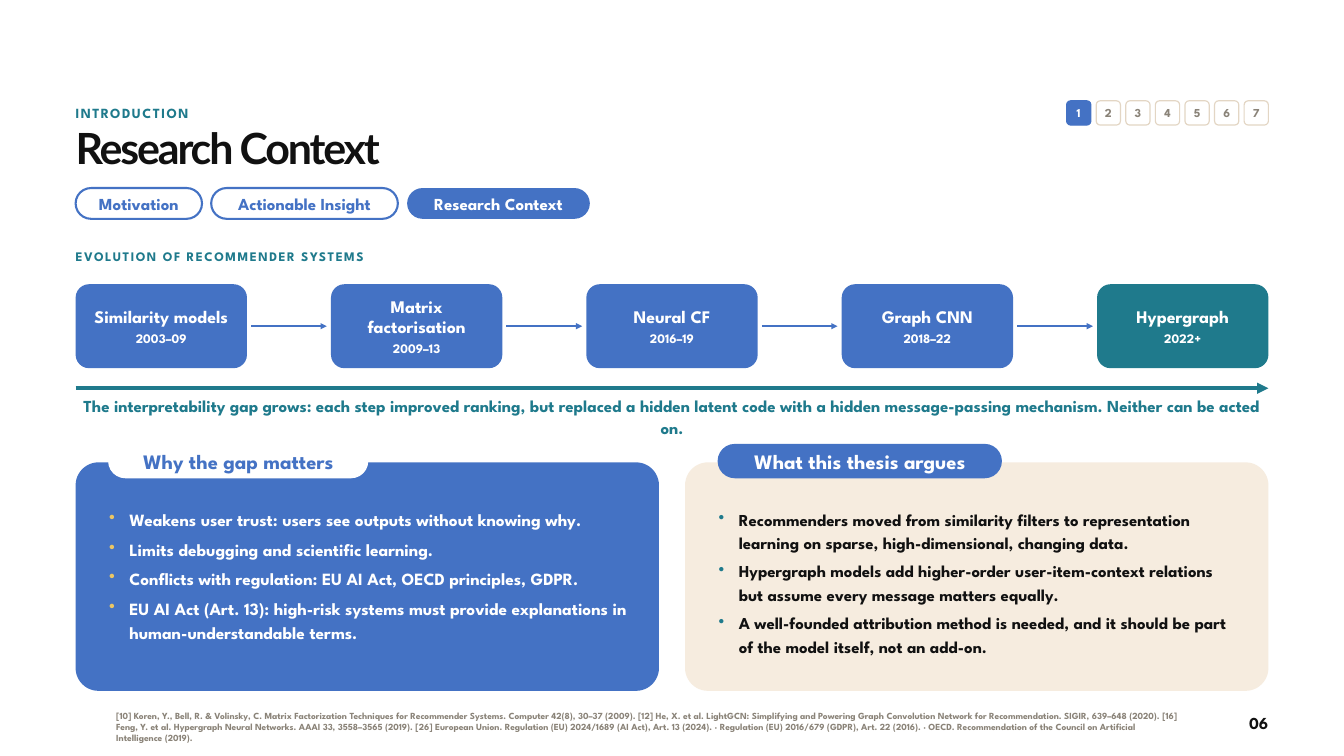
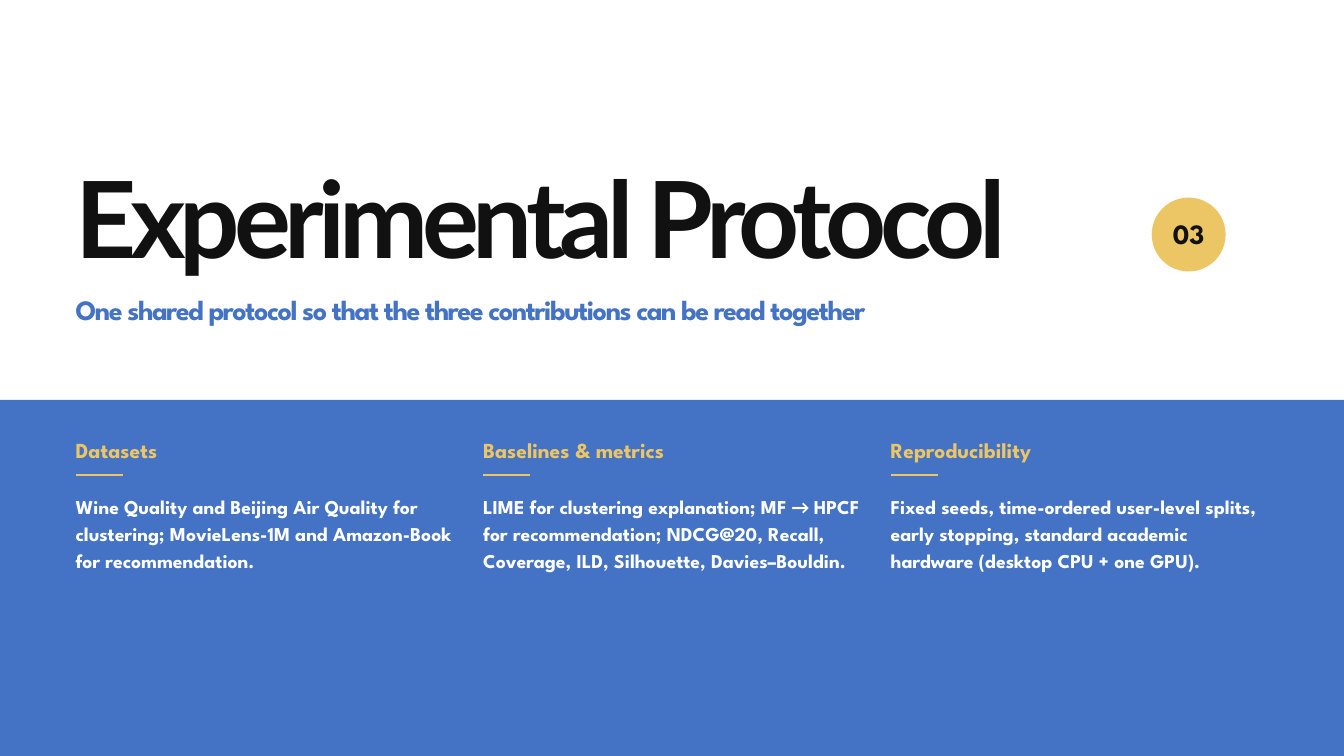
from dataclasses import dataclass

from lxml import etree
from pptx import Presentation
from pptx.dml.color import RGBColor
from pptx.enum.shapes import MSO_CONNECTOR, MSO_SHAPE
from pptx.enum.text import MSO_ANCHOR, PP_ALIGN
from pptx.oxml.ns import qn
from pptx.util import Pt

LEFT, CENTER, RIGHT = PP_ALIGN.LEFT, PP_ALIGN.CENTER, PP_ALIGN.RIGHT
TOP, MIDDLE = MSO_ANCHOR.TOP, MSO_ANCHOR.MIDDLE
RECTANGLE, ROUNDED, OVAL = MSO_SHAPE.RECTANGLE, MSO_SHAPE.ROUNDED_RECTANGLE, MSO_SHAPE.OVAL
STRAIGHT = MSO_CONNECTOR.STRAIGHT


@dataclass(frozen=True)
class Style:
    """Type size, colour, line height, alignment and letter spacing."""
    size: float
    color: str
    leading: float
    align: PP_ALIGN = LEFT
    tracking: float = 0
    font: str = "League Spartan"
    before: float = 0


class Theme:
    blue, teal, gold = "4472C4", "1F7A8C", "ECC665"
    white, ink, gray = "FFFFFF", "111111", "8A8378"
    cream, sand = "F6ECDF", "E3D6C4"
    arrow_font = "Calibri"

    title = Style(46, ink, 50.6, tracking=-2.3, font="Lato")
    eyebrow = Style(15, teal, 20, tracking=1.6)
    section = Style(14, teal, 18, tracking=1.6)
    step_name = Style(19, white, 21.9, CENTER)
    step_years = Style(14, white, 16.8, CENTER, before=3)
    message = Style(18, teal, 23, CENTER)
    references = Style(10, gray, 12)
    page_number = Style(18, ink, 22, RIGHT)
    divider_title = Style(114, ink, 116.3, tracking=-6.6, font="Lato")
    divider_subtitle = Style(30, blue, 38, tracking=-1.5)
    divider_number = Style(30, ink, 34, CENTER)
    column_head = Style(23, gold, 28)
    column_body = Style(21, white, 29.4)


WIDTH, HEIGHT = 1440, 810
MARGIN = 81
CONTENT = WIDTH - 2 * MARGIN


def rgb(color):
    return RGBColor.from_string(color)


def add_bullet(paragraph, color, indent=21.6):
    properties = paragraph._p.get_or_add_pPr()
    properties.set("marL", str(Pt(indent)))
    properties.set("indent", str(-Pt(indent)))
    bullet_color = etree.SubElement(properties, qn("a:buClr"))
    etree.SubElement(bullet_color, qn("a:srgbClr")).set("val", color)
    etree.SubElement(properties, qn("a:buChar")).set("char", "•")


def write(shape, entries, anchor=TOP, insets=(0, 0), bullet=None):
    """Fill a shape with (text, style) paragraphs; arrows get their own font."""
    frame = shape.text_frame
    frame.word_wrap = True
    frame.vertical_anchor = anchor
    frame.margin_left = frame.margin_right = Pt(insets[0])
    frame.margin_top = frame.margin_bottom = Pt(insets[1])
    for number, (text, style) in enumerate(entries):
        paragraph = frame.add_paragraph() if number else frame.paragraphs[0]
        paragraph.alignment = style.align
        paragraph.line_spacing = Pt(style.leading)
        if number and style.before:
            paragraph.space_before = Pt(style.before)
        if bullet:
            add_bullet(paragraph, bullet)
        font = paragraph.font
        font.size, font.bold = Pt(style.size), True
        font.color.rgb = rgb(style.color)
        before, arrow, after = text.partition("→ ")
        if not arrow:
            font.name = style.font
        for part in filter(None, (before, arrow, after)):
            run = paragraph.add_run()
            run.text = part
            if arrow:
                run.font.name = Theme.arrow_font if part == arrow else style.font
            if style.tracking:
                run._r.get_or_add_rPr().set("spc", str(round(style.tracking * 100)))


def add_text(slide, box, text, style, anchor=TOP):
    write(slide.shapes.add_textbox(*map(Pt, box)), [(text, style)], anchor)


def add_box(slide, kind, box, fill=None, outline=None, weight=2.25, corner=None):
    shape = slide.shapes.add_shape(kind, *map(Pt, box))
    shape.shadow.inherit = False
    if corner is not None:
        shape.adjustments[0] = corner
    if fill:
        shape.fill.solid()
        shape.fill.fore_color.rgb = rgb(fill)
    else:
        shape.fill.background()
    if outline:
        shape.line.color.rgb = rgb(outline)
        shape.line.width = Pt(weight)
    else:
        shape.line.fill.background()
    return shape


def add_line(slide, left, right, y, color, weight, arrow=False):
    line = slide.shapes.add_connector(STRAIGHT, Pt(left), Pt(y), Pt(right), Pt(y))
    line.line.color.rgb = rgb(color)
    line.line.width = Pt(weight)
    properties = line._element.spPr
    if arrow:
        etree.SubElement(properties.find(qn("a:ln")), qn("a:tailEnd")).set("type", "triangle")
    etree.SubElement(properties, qn("a:effectLst"))


def add_pill(slide, box, text, size, color, fill=None, outline=None):
    pill = add_box(slide, ROUNDED, box, fill, outline, corner=0.5)
    write(pill, [(text, Style(size, color, size * 1.2, CENTER))], MIDDLE, (3.6, 0))


def add_section_index(slide, right, top, current, count=7, side=26, pitch=31.7):
    """Row of numbered squares ending at the right margin."""
    for number in range(1, count + 1):
        active = number == current
        left = right - side - (count - number) * pitch
        square = add_box(slide, ROUNDED, (left, top, side, side),
                         Theme.blue if active else Theme.white,
                         Theme.blue if active else Theme.sand, 1.25, corner=0.167)
        color = Theme.white if active else Theme.gray
        write(square, [(str(number), Style(13, color, 15, CENTER))], MIDDLE)


def add_tabs(slide, left, top, tabs, current, height=33, gap=9.9):
    for text, width in tabs:
        active = text == current
        add_pill(slide, (left, top, width, height), text, 18,
                 Theme.white if active else Theme.blue,
                 Theme.blue if active else None,
                 None if active else Theme.blue)
        left += width + gap


def add_header(slide, left, top, eyebrow, title, section, tabs):
    add_text(slide, (left, top, 1019, 26), eyebrow, Theme.eyebrow)
    add_section_index(slide, left + CONTENT, top - 1.5, section)
    add_text(slide, (left, top + 25.5, CONTENT, 58), title, Theme.title)
    add_tabs(slide, left, top + 92, tabs, title)


def add_footer(slide, references, page):
    add_text(slide, (124.5, 756, 1141, 45), references, Theme.references, MIDDLE)
    add_text(slide, (1273, 763, 86, 26), page, Theme.page_number)


def add_timeline(slide, left, top, width, steps, step_width=183.6, height=90):
    """Equal steps with arrows in the gaps; the last step stands out."""
    pitch = (width - step_width) / (len(steps) - 1)
    for number, (name, years) in enumerate(steps):
        step_left = left + number * pitch
        last = number == len(steps) - 1
        step = add_box(slide, ROUNDED, (step_left, top, step_width, height),
                       Theme.teal if last else Theme.blue, corner=0.16)
        write(step, [(name, Theme.step_name), (years, Theme.step_years)], MIDDLE, (7.2, 3.6))
        if not last:
            add_line(slide, step_left + step_width + 4.4, step_left + pitch - 4.4,
                     top + height / 2, Theme.blue, 2.25, arrow=True)


def add_card(slide, box, heading, heading_width, colors, points, style):
    """Rounded card with a heading pill on its top edge and bullets inside."""
    left, top, width, _ = box
    fill, pill_fill, pill_color, bullet = colors
    add_box(slide, ROUNDED, box, fill, corner=0.1)
    add_pill(slide, (left + 36, top - 18.7, heading_width, 34.6), heading, 22,
             pill_color, pill_fill, pill_fill)
    body = slide.shapes.add_textbox(*map(Pt, (left + 36, top + 46.8, width - 69, 176.4)))
    write(body, [(point, style) for point in points], bullet=bullet)


def build_context_slide(slide):
    add_footer(slide, " ".join((
        "[10] Koren, Y., Bell, R. & Volinsky, C. Matrix Factorization Techniques for "
        "Recommender Systems. Computer 42(8), 30–37 (2009).",
        "[12] He, X. et al. LightGCN: Simplifying and Powering Graph Convolution Network "
        "for Recommendation. SIGIR, 639–648 (2020).",
        "[16] Feng, Y. et al. Hypergraph Neural Networks. AAAI 33, 3558–3565 (2019).",
        "[26] European Union. Regulation (EU) 2024/1689 (AI Act), Art. 13 (2024). · "
        "Regulation (EU) 2016/679 (GDPR), Art. 22 (2016). · "
        "OECD. Recommendation of the Council on Artificial Intelligence (2019).",
    )), "06")
    add_header(slide, MARGIN, 109.5, "INTRODUCTION", "Research Context", 1,
               [("Motivation", 135.4), ("Actionable Insight", 200), ("Research Context", 195.8)])

    # Evolution of the field
    add_text(slide, (MARGIN, 265, CONTENT, 29), "EVOLUTION OF RECOMMENDER SYSTEMS", Theme.section)
    add_timeline(slide, MARGIN, 304.5, CONTENT, [
        ("Similarity models", "2003–09"), ("Matrix factorisation", "2009–13"),
        ("Neural CF", "2016–19"), ("Graph CNN", "2018–22"), ("Hypergraph", "2022+")])
    add_line(slide, MARGIN, MARGIN + CONTENT, 416, Theme.teal, 4, arrow=True)
    add_text(slide, (MARGIN, 423, CONTENT, 29),
             "The interpretability gap grows: each step improved ranking, but replaced a hidden "
             "latent code with a hidden message-passing mechanism. Neither can be acted on.",
             Theme.message)

    # Two cards
    card_width, card_top, card_height = 625, 495.4, 244.8
    add_card(slide, (MARGIN, card_top, card_width, card_height), "Why the gap matters", 276.5,
             (Theme.blue, Theme.white, Theme.blue, Theme.gold), [
                 "Weakens user trust: users see outputs without knowing why.",
                 "Limits debugging and scientific learning.",
                 "Conflicts with regulation: EU AI Act, OECD principles, GDPR.",
                 "EU AI Act (Art. 13): high-risk systems must provide explanations in "
                 "human-understandable terms."],
             Style(18.4, Theme.white, 25.8, before=5.8))
    add_card(slide, (MARGIN + CONTENT - card_width, card_top, card_width, card_height),
             "What this thesis argues", 302.4,
             (Theme.cream, Theme.blue, Theme.white, Theme.teal), [
                 "Recommenders moved from similarity filters to representation learning on "
                 "sparse, high-dimensional, changing data.",
                 "Hypergraph models add higher-order user-item-context relations but assume "
                 "every message matters equally.",
                 "A well-founded attribution method is needed, and it should be part of the "
                 "model itself, not an add-on."],
             Style(17.9, Theme.ink, 25, before=5.6))


def add_column(slide, left, top, width, heading, text):
    add_text(slide, (left, top, width, 36), heading, Theme.column_head)
    add_line(slide, left, left + 50.4, top + 41, Theme.gold, 2.5)
    add_text(slide, (left, top + 57.6, width, 245), text, Theme.column_body)


def build_divider_slide(slide):
    # Title area
    add_text(slide, (MARGIN, 183.6, 1170, 137), "Experimental Protocol", Theme.divider_title)
    badge = add_box(slide, OVAL, (1234, 211.7, 79.2, 79.2), Theme.gold)
    write(badge, [("03", Theme.divider_number)], MIDDLE)
    add_text(slide, (MARGIN, 311, CONTENT, 50),
             "One shared protocol so that the three contributions can be read together",
             Theme.divider_subtitle)

    # Band with equal columns
    band_top, gap = 428.5, 32
    add_box(slide, RECTANGLE, (0, band_top, WIDTH, HEIGHT - band_top), Theme.blue)
    columns = [
        ("Datasets", "Wine Quality and Beijing Air Quality for clustering; MovieLens-1M and "
                     "Amazon-Book for recommendation."),
        ("Baselines & metrics", "LIME for clustering explanation; MF → HPCF for recommendation; "
                                "NDCG@20, Recall, Coverage, ILD, Silhouette, Davies–Bouldin."),
        ("Reproducibility", "Fixed seeds, time-ordered user-level splits, early stopping, "
                            "standard academic hardware (desktop CPU + one GPU)."),
    ]
    width = (CONTENT - gap * (len(columns) - 1)) / len(columns)
    for number, (heading, text) in enumerate(columns):
        add_column(slide, MARGIN + number * (width + gap), band_top + 39.5, width, heading, text)


def main():
    presentation = Presentation()
    presentation.slide_width, presentation.slide_height = Pt(WIDTH), Pt(HEIGHT)
    blank = presentation.slide_layouts[6]
    for build in (build_context_slide, build_divider_slide):
        build(presentation.slides.add_slide(blank))
    presentation.save("out.pptx")


if __name__ == "__main__":
    main()
